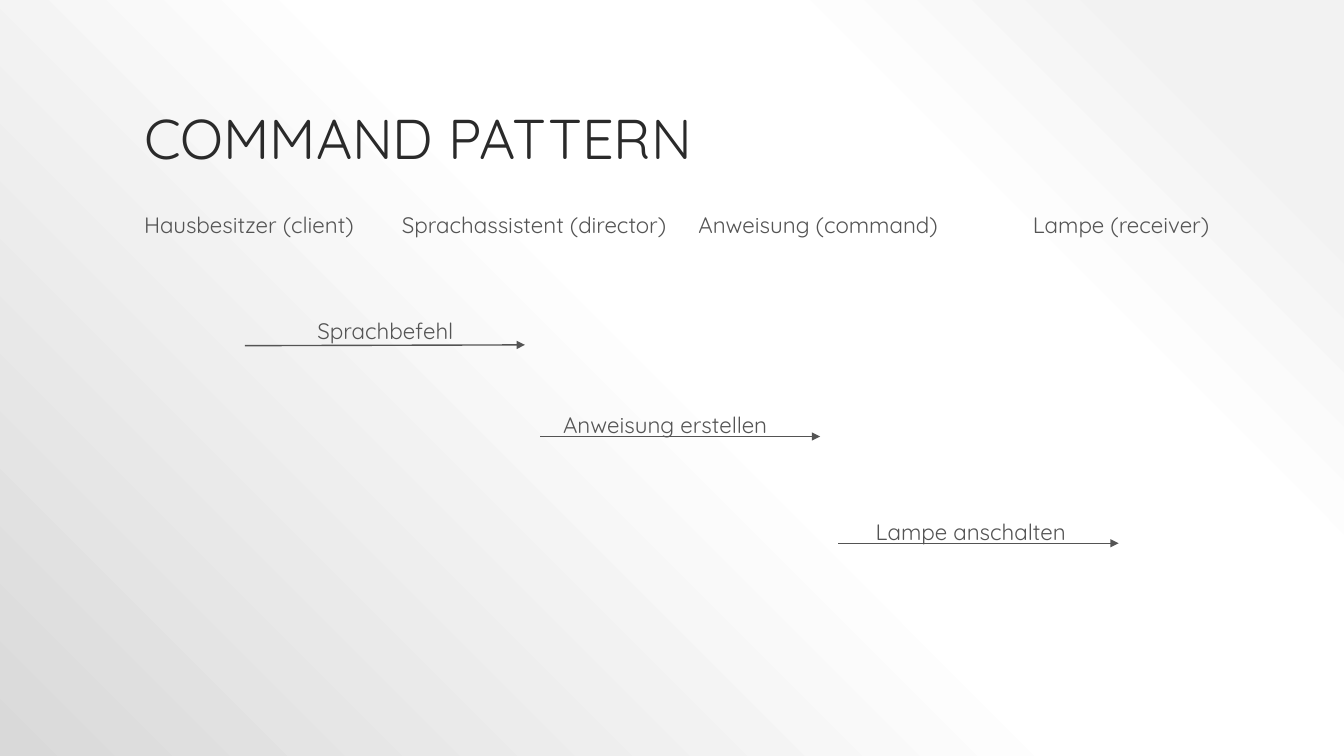
import pptx
import pptx.util
import pptx.oxml
import pptx.oxml.ns
import pptx.dml.color
import pptx.enum.text
import pptx.enum.shapes

Cm = pptx.util.Cm
FONT = "Quicksand"
HEX = {"title": "2A2A2A", "text": "545454"}
STOPS = [(10, "F2F2F2"), (28, "FFFFFF"), (48, "FFFFFF"), (100, "D9D9D9")]
TITLE = "COMMAND PATTERN"
ROLES = [
    ("Hausbesitzer (client)", 3.38, 6.02),
    ("Sprachassistent (director)", 9.88, 7.47),
    ("Anweisung (command)", 17.35, 7.06),
    ("Lampe (receiver)", 25.78, 5.28),
]
STEPS = [
    {"text": "Sprachbefehl", "box": (7.75, 7.95, 4.24), "from": (6.17, 8.71), "rise": 0.02},
    {"text": "Anweisung erstellen", "box": (13.94, 10.31, 5.97), "from": (13.61, 11.0), "rise": 0},
    {"text": "Lampe anschalten", "box": (21.82, 13.0, 5.69), "from": (21.13, 13.69), "rise": 0},
]
ROLE_TOP = 5.28
TEXT_H = 0.86
REACH = 7.06
NS = pptx.oxml.ns.nsdecls("a")


def color(name):
    return pptx.dml.color.RGBColor.from_string(HEX[name])


def write(shape, text, size=16, tint="text", anchor="TOP", wrap=False, grow=True):
    frame = shape.text_frame
    frame.word_wrap = wrap
    fit = pptx.enum.text.MSO_AUTO_SIZE
    frame.auto_size = fit.SHAPE_TO_FIT_TEXT if grow else fit.NONE
    frame.vertical_anchor = pptx.enum.text.MSO_ANCHOR[anchor]
    para = frame.paragraphs[0]
    para.alignment = pptx.enum.text.PP_ALIGN.LEFT
    para.line_spacing = 0.9
    run = para.add_run()
    run.text = text
    run.font.size = pptx.util.Pt(size)
    run.font.name = FONT
    run.font.color.rgb = color(tint)


def label(slide, text, left, top, width):
    box = slide.shapes.add_textbox(Cm(left), Cm(top), Cm(width), Cm(TEXT_H))
    write(box, text)


def arrow(slide, left, top, rise):
    line = slide.shapes.add_connector(
        pptx.enum.shapes.MSO_CONNECTOR.STRAIGHT,
        Cm(left), Cm(top), Cm(left + REACH), Cm(top - rise))
    line.line.color.rgb = color("text")
    line.line.width = pptx.util.Pt(1)
    line.line._get_or_add_ln().append(
        pptx.oxml.parse_xml(f'<a:tailEnd {NS} type="triangle"/>'))
    line._element.spPr.append(pptx.oxml.parse_xml(f"<a:effectLst {NS}/>"))


def paint(slide):
    stops = "".join(
        f'<a:gs pos="{pos * 1000}"><a:srgbClr val="{tint}"/></a:gs>' for pos, tint in STOPS)
    back = pptx.oxml.parse_xml(
        f'<p:bg {pptx.oxml.ns.nsdecls("p", "a")}><p:bgPr><a:gradFill rotWithShape="1">'
        f'<a:gsLst>{stops}</a:gsLst><a:path path="circle">'
        '<a:fillToRect l="100000" b="100000"/></a:path></a:gradFill>'
        "<a:effectLst/></p:bgPr></p:bg>")
    slide.element.cSld.insert(0, back)


def main():
    deck = pptx.Presentation()
    deck.slide_width, deck.slide_height = Cm(33.87), Cm(19.05)
    slide = deck.slides.add_slide(deck.slide_layouts[5])
    paint(slide)
    title = slide.shapes.title
    title.left, title.top, title.width, title.height = Cm(3.38), Cm(0.76), Cm(27.1), Cm(3.68)
    write(title, TITLE, size=40, tint="title", anchor="BOTTOM", wrap=True, grow=False)
    for text, left, width in ROLES:
        label(slide, text, left, ROLE_TOP, width)
    for step in STEPS:
        arrow(slide, *step["from"], step["rise"])
        label(slide, step["text"], *step["box"])
    deck.save("out.pptx")


if __name__ == "__main__":
    main()
